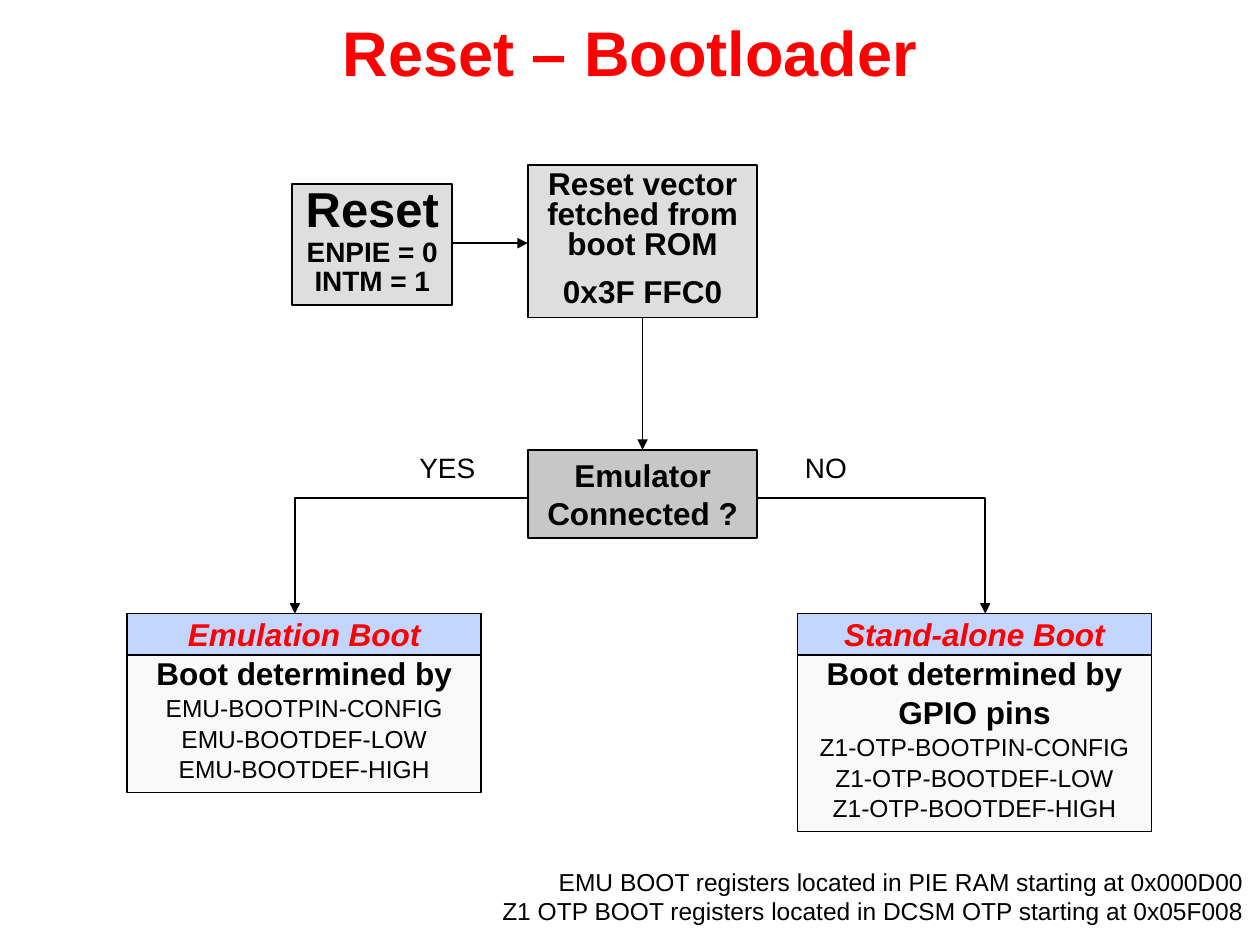
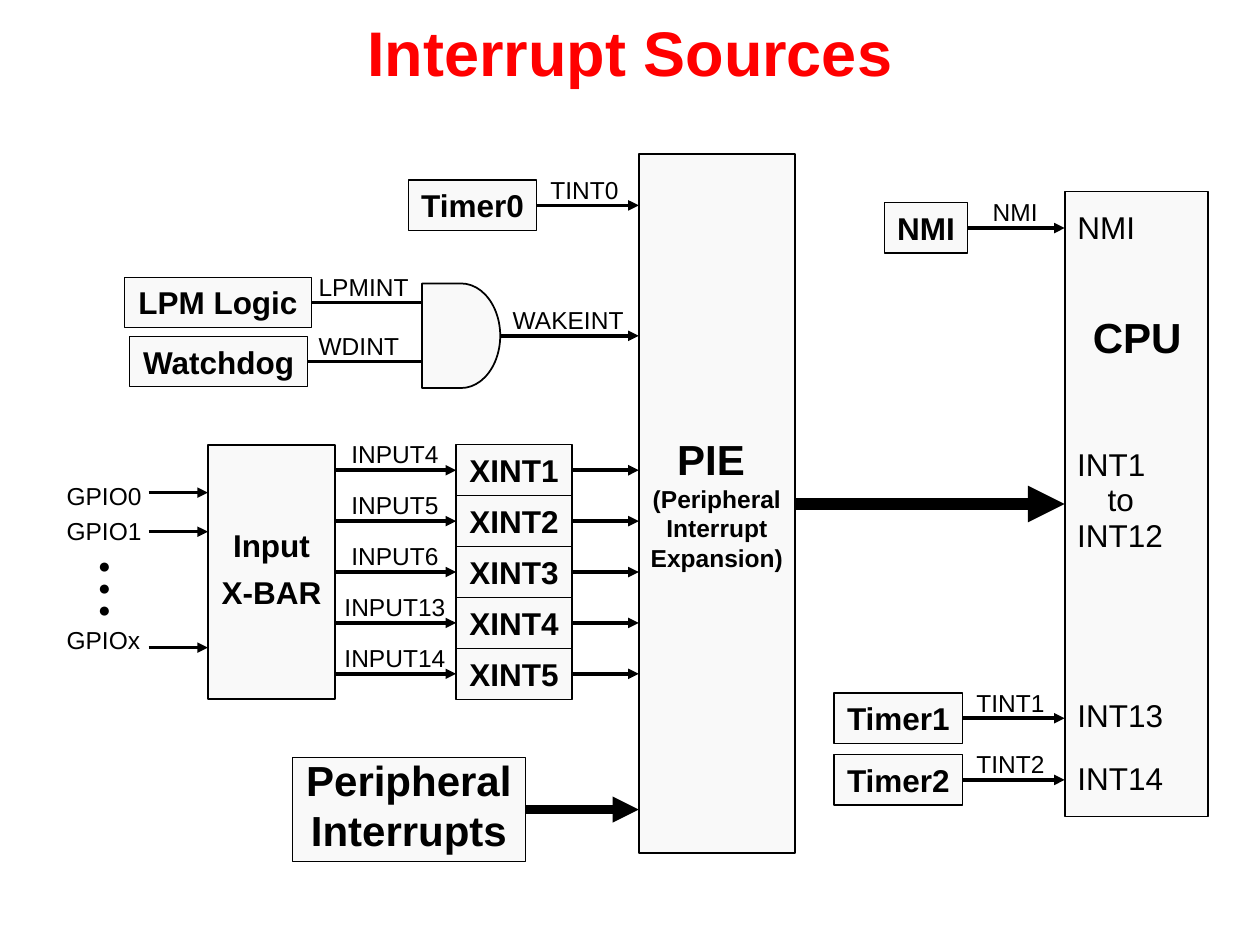
"""Builds two slides on a microcontroller's boot sequence and interrupt sources."""
import dataclasses

import pptx
import pptx.dml.color
import pptx.enum.shapes
import pptx.enum.text
import pptx.oxml
import pptx.oxml.ns
import pptx.util

Inches = pptx.util.Inches
Pt = pptx.util.Pt
Align = pptx.enum.text.PP_ALIGN
Anchor = pptx.enum.text.MSO_ANCHOR
Preset = pptx.enum.shapes.MSO_SHAPE


@dataclasses.dataclass(frozen=True)
class Theme:
    """Colours, font, type sizes and line widths of the deck."""
    font: str = "Arial"
    accent: str = "FF0000"
    ink: str = "000000"
    pale: str = "F9F9F9"
    grey: str = "DEDEDE"
    dark_grey: str = "C7C7C7"
    blue: str = "C2D6FF"
    title: int = 36
    big: int = 28
    heading: int = 24
    body: int = 18
    label: int = 16
    small: int = 14
    dot: int = 12
    hairline: float = 0.75
    outline: float = 1
    signal: float = 2
    bus: float = 5
    wide_bus: float = 7


THEME = Theme()


@dataclasses.dataclass(frozen=True)
class Box:
    """A rectangle in inches."""
    left: float
    top: float
    width: float
    height: float

    @property
    def right(self):
        """Return the right edge."""
        return self.left + self.width

    @property
    def bottom(self):
        """Return the bottom edge."""
        return self.top + self.height

    @property
    def middle(self):
        """Return the vertical centre."""
        return self.top + self.height / 2

    def inner(self, left, top, width, height):
        """Return a box placed relative to this one."""
        return Box(self.left + left, self.top + top, width, height)

    def frame(self):
        """Return the four lengths for python-pptx."""
        return [Inches(n) for n in (self.left, self.top, self.width, self.height)]


@dataclasses.dataclass(frozen=True)
class Line:
    """One paragraph and its format."""
    text: str
    size: int = THEME.body
    bold: bool = False
    italic: bool = False
    colour: str = THEME.ink
    align: Align = Align.CENTER
    spacing: float = 0.8
    before: float = 0


def rgb(value):
    """Turn a hex string into a colour."""
    return pptx.dml.color.RGBColor.from_string(value)


def write(shape, lines, anchor=Anchor.MIDDLE, wrap=False, inset=True):
    """Fill a shape with formatted paragraphs."""
    frame = shape.text_frame
    frame.word_wrap = wrap
    frame.auto_size = pptx.enum.text.MSO_AUTO_SIZE.NONE
    frame.vertical_anchor = anchor
    frame.margin_left = frame.margin_right = Inches(0.1 if inset else 0)
    frame.margin_top = frame.margin_bottom = Inches(0.05 if inset else 0)
    frame.text = "\n".join(line.text for line in lines)
    for para, line in zip(frame.paragraphs, lines):
        para.alignment = line.align
        para.line_spacing = line.spacing
        para.space_before = Pt(line.before)
        for span in para.runs:
            span.font.name = THEME.font
            span.font.size = Pt(line.size)
            span.font.bold = line.bold
            span.font.italic = line.italic
            span.font.color.rgb = rgb(line.colour)


def add_text(page, box, lines, anchor=Anchor.MIDDLE, inset=True):
    """Add a text box."""
    write(page.shapes.add_textbox(*box.frame()), lines, anchor, inset=inset)


def add_label(page, box, text, size=THEME.small, align=Align.LEFT):
    """Add a one-line plain label."""
    add_text(page, box, [Line(text, size, align=align)])


def add_block(page, box, fill=THEME.pale, lines=(), width=THEME.outline,
              preset=Preset.RECTANGLE, anchor=Anchor.MIDDLE, wrap=False):
    """Add an outlined block with optional text."""
    shape = page.shapes.add_shape(preset, *box.frame())
    shape.shadow.inherit = False
    shape.fill.solid()
    shape.fill.fore_color.rgb = rgb(fill)
    shape.line.color.rgb = rgb(THEME.ink)
    shape.line.width = Pt(width)
    if lines:
        write(shape, lines, anchor, wrap)


def add_named_block(page, box, name):
    """Add a thin-lined block holding a bold name."""
    add_block(page, box, lines=[Line(name, bold=True, spacing=1)], width=THEME.hairline)


def ink_line(shape, width, arrow):
    """Colour a line and give its end an arrowhead."""
    shape.line.color.rgb = rgb(THEME.ink)
    shape.line.width = Pt(width)
    if arrow:
        tail = pptx.oxml.parse_xml(
            '<a:tailEnd %s type="triangle"/>' % pptx.oxml.ns.nsdecls("a"))
        shape.line._get_or_add_ln().append(tail)


def add_line(page, start, end, width=THEME.signal, arrow=True):
    """Join two points with a straight line."""
    line = page.shapes.add_connector(
        pptx.enum.shapes.MSO_CONNECTOR.STRAIGHT, *[Inches(n) for n in start + end])
    ink_line(line, width, arrow)
    line._element.spPr.append(pptx.oxml.parse_xml(
        "<a:effectLst %s/>" % pptx.oxml.ns.nsdecls("a")))


def add_branch(page, start, end):
    """Draw an arrow that runs sideways and then down."""
    builder = page.shapes.build_freeform(Inches(start[0]), Inches(start[1]))
    corners = [(Inches(x), Inches(y)) for x, y in ((end[0], start[1]), end)]
    builder.add_line_segments(corners, close=False)
    branch = builder.convert_to_shape()
    branch.shadow.inherit = False
    branch.fill.background()
    ink_line(branch, THEME.outline, True)


def add_page(deck, title):
    """Add a slide with the shared title style."""
    page = deck.slides.add_slide(deck.slide_layouts[5])
    heading = page.shapes.title
    heading.left, heading.top, heading.width, heading.height = Box(0, 0, 10, 0.81).frame()
    write(heading, [Line(title, THEME.title, True, colour=THEME.accent, spacing=1)], wrap=True)
    return page


def draw_reset(page, box):
    """Draw the reset block and the vector fetch it leads to."""
    reset = box.inner(0, 0.15, 1.27, 0.96)
    vector = box.inner(1.87, 0, 1.82, 1.21)
    flags = [Line(text, THEME.label, True, spacing=0.5, before=7)
             for text in ("ENPIE = 0", "INTM = 1")]
    add_block(page, reset, THEME.grey, [Line("Reset", THEME.big, True)] + flags,
              anchor=Anchor.TOP, wrap=True)
    add_block(page, vector, THEME.grey,
              [Line("Reset vector fetched from boot ROM", bold=True),
               Line("0x3F FFC0", bold=True, before=9.7)], anchor=Anchor.TOP, wrap=True)
    add_line(page, (reset.right, 1.93), (vector.left, 1.93), THEME.outline)


def draw_decision(page, box):
    """Draw the emulator question with its entry and two exits."""
    centre = box.left + box.width / 2
    add_block(page, box, THEME.dark_grey,
              [Line("Emulator Connected ?", bold=True, spacing=1)], wrap=True)
    add_line(page, (centre, box.top - 1.05), (centre, box.top), THEME.outline)
    for edge, target in ((box.left, 2.34), (box.right, 7.82)):
        add_branch(page, (edge, 3.95), (target, 4.87))
    add_label(page, box.inner(-0.96, 0.01, 0.64, 0.31), "YES", THEME.label)
    add_label(page, box.inner(2.1, 0.01, 0.53, 0.31), "NO", THEME.label)


def draw_boot_mode(page, box, name, basis, registers):
    """Draw a boot mode with its header band and registers."""
    band = 0.33
    add_block(page, box.inner(0, 0, box.width, band), THEME.blue)
    add_block(page, box.inner(0, band, box.width, box.height - band))
    lines = [Line(name, bold=True, italic=True, colour=THEME.accent)]
    lines += [Line(text, bold=True, before=5.1) for text in basis]
    lines += [Line(text, THEME.small, before=4) for text in registers]
    add_text(page, box.inner(0, 0.02, box.width, box.height - 0.02), lines, Anchor.TOP)


def draw_source(page, box, name, signal, label_box, target, arrow=True):
    """Draw a named source and its labelled signal line."""
    add_named_block(page, box, name)
    add_line(page, (box.right, box.middle), (target, box.middle), arrow=arrow)
    offset, width = label_box
    add_label(page, Box(box.right + offset, box.top - 0.05, width, 0.29), signal)


def draw_cpu(page, box):
    """Draw the processor and its interrupt inputs."""
    add_block(page, box)
    add_label(page, box.inner(0, 0.14, 0.66, 0.34), "NMI", THEME.body, Align.CENTER)
    add_text(page, box.inner(0.12, 0.9, 0.91, 0.5),
             [Line("CPU", THEME.heading, True, spacing=1)])
    add_text(page, box.inner(0, 2.02, 0.89, 0.91),
             [Line("INT1", align=Align.LEFT), Line("to", before=3),
              Line("INT12", align=Align.LEFT, before=3)], Anchor.TOP)
    for top, name in ((4.01, "INT13"), (4.51, "INT14")):
        add_label(page, box.inner(-0.01, top, 0.89, 0.34), name, THEME.body, Align.RIGHT)


def draw_pie(page, box, target):
    """Draw the interrupt expansion block and its bus to the processor."""
    add_block(page, box)
    lines = [Line("PIE ", THEME.heading, True, spacing=1)]
    lines += [Line(text, THEME.small, True, spacing=1)
              for text in ("(Peripheral", "Interrupt", "Expansion)")]
    add_text(page, box.inner(0, 2.17, box.width, 1.21), lines, Anchor.TOP)
    add_line(page, (box.right, 4), (target, 4), THEME.wide_bus)


def draw_wake_logic(page, box, target):
    """Draw the two wake sources, their gate and its output."""
    gate = box.inner(2.36, 0.05, 0.62, 0.83)
    draw_source(page, box.inner(0, 0, 1.48, 0.4), "LPM Logic", "LPMINT",
                (-0.04, 0.92), gate.left, False)
    draw_source(page, box.inner(0.04, 0.47, 1.41, 0.4), "Watchdog", "WDINT",
                (-0.01, 0.85), gate.left, False)
    add_block(page, gate, preset=Preset.FLOWCHART_DELAY)
    add_line(page, (gate.right, gate.middle), (target, gate.middle))
    add_label(page, Box(gate.right, gate.top + 0.16, 1.09, 0.29), "WAKEINT")


def draw_crossbar(page, box, target):
    """Draw the input crossbar with its pins and external interrupts."""
    bar = box.inner(1.22, 0, 1.01, box.height)
    add_block(page, bar)
    add_text(page, bar, [Line("Input", bold=True), Line("X-BAR", bold=True, before=9.7)])
    for name, label_top, wire in (("GPIO0", 0.28, 0.38), ("GPIO1", 0.56, 0.69),
                                  ("GPIOx", 1.42, 1.61)):
        add_label(page, box.inner(0, label_top, 0.8, 0.29), name)
        add_line(page, (box.left + 0.75, box.top + wire), (bar.left, box.top + wire))
    for step in range(3):
        add_text(page, box.inner(0.35, 0.89 + 0.175 * step, 0.1, 0.16),
                 [Line("●", THEME.dot, True)], inset=False)
    pitch = box.height / 5
    for index, number in enumerate((4, 5, 6, 13, 14)):
        block = box.inner(3.19, pitch * index, 0.92, pitch)
        add_named_block(page, block, f"XINT{index + 1}")
        add_label(page, Box(bar.right - 0.03, block.top - 0.05, 1.01, 0.29),
                  f"INPUT{number}", align=Align.CENTER)
        add_line(page, (bar.right, block.middle), (block.left, block.middle))
        add_line(page, (block.right, block.middle), (target, block.middle))


def draw_peripherals(page, box, target):
    """Draw the peripheral interrupts and their bus."""
    add_block(page, box, width=THEME.hairline,
              lines=[Line("Peripheral", THEME.heading, True),
                     Line("Interrupts", THEME.heading, True, before=6)])
    add_line(page, (box.right, box.middle), (target, box.middle), THEME.bus)


def build_bootloader(deck):
    """Build the reset and bootloader slide."""
    page = add_page(deck, "Reset – Bootloader")
    draw_reset(page, Box(2.32, 1.31, 3.69, 1.21))
    draw_decision(page, Box(4.19, 3.57, 1.82, 0.7))
    suffixes = ("BOOTPIN-CONFIG", "BOOTDEF-LOW", "BOOTDEF-HIGH")
    draw_boot_mode(page, Box(1.01, 4.87, 2.81, 1.42), "Emulation Boot",
                   ["Boot determined by"], [f"EMU-{name}" for name in suffixes])
    draw_boot_mode(page, Box(6.33, 4.87, 2.81, 1.73), "Stand-alone Boot",
                   ["Boot determined by", "GPIO pins"], [f"Z1-OTP-{name}" for name in suffixes])
    notes = ("EMU BOOT registers located in PIE RAM starting at 0x000D00",
             "Z1 OTP BOOT registers located in DCSM OTP starting at 0x05F008")
    add_text(page, Box(3.86, 6.83, 6.11, 0.57),
             [Line(text, THEME.small, align=Align.RIGHT, spacing=1) for text in notes], Anchor.TOP)


def build_interrupts(deck):
    """Build the interrupt sources slide."""
    page = add_page(deck, "Interrupt Sources")
    cpu, pie = Box(8.45, 1.52, 1.14, 4.96), Box(5.07, 1.22, 1.24, 5.55)
    draw_cpu(page, cpu)
    draw_pie(page, pie, cpu.left)
    for box, name, signal, label_box, target in (
            (Box(3.24, 1.43, 1.02, 0.4), "Timer0", "TINT0", (0.01, 0.75), pie),
            (Box(7.02, 1.61, 0.66, 0.4), "NMI", "NMI", (0.1, 0.56), cpu),
            (Box(6.62, 5.5, 1.02, 0.4), "Timer1", "TINT1", (0.01, 0.75), cpu),
            (Box(6.62, 5.99, 1.02, 0.4), "Timer2", "TINT2", (0.01, 0.75), cpu)):
        draw_source(page, box, name, signal, label_box, target.left)
    draw_wake_logic(page, Box(0.99, 2.2, 2.98, 0.88), pie.left)
    draw_crossbar(page, Box(0.43, 3.53, 4.11, 2.02), pie.left)
    draw_peripherals(page, Box(2.32, 6.01, 1.85, 0.83), pie.left)


deck = pptx.Presentation()
deck.slide_width, deck.slide_height = Inches(10), Inches(7.5)
build_bootloader(deck)
build_interrupts(deck)
deck.save("out.pptx")
